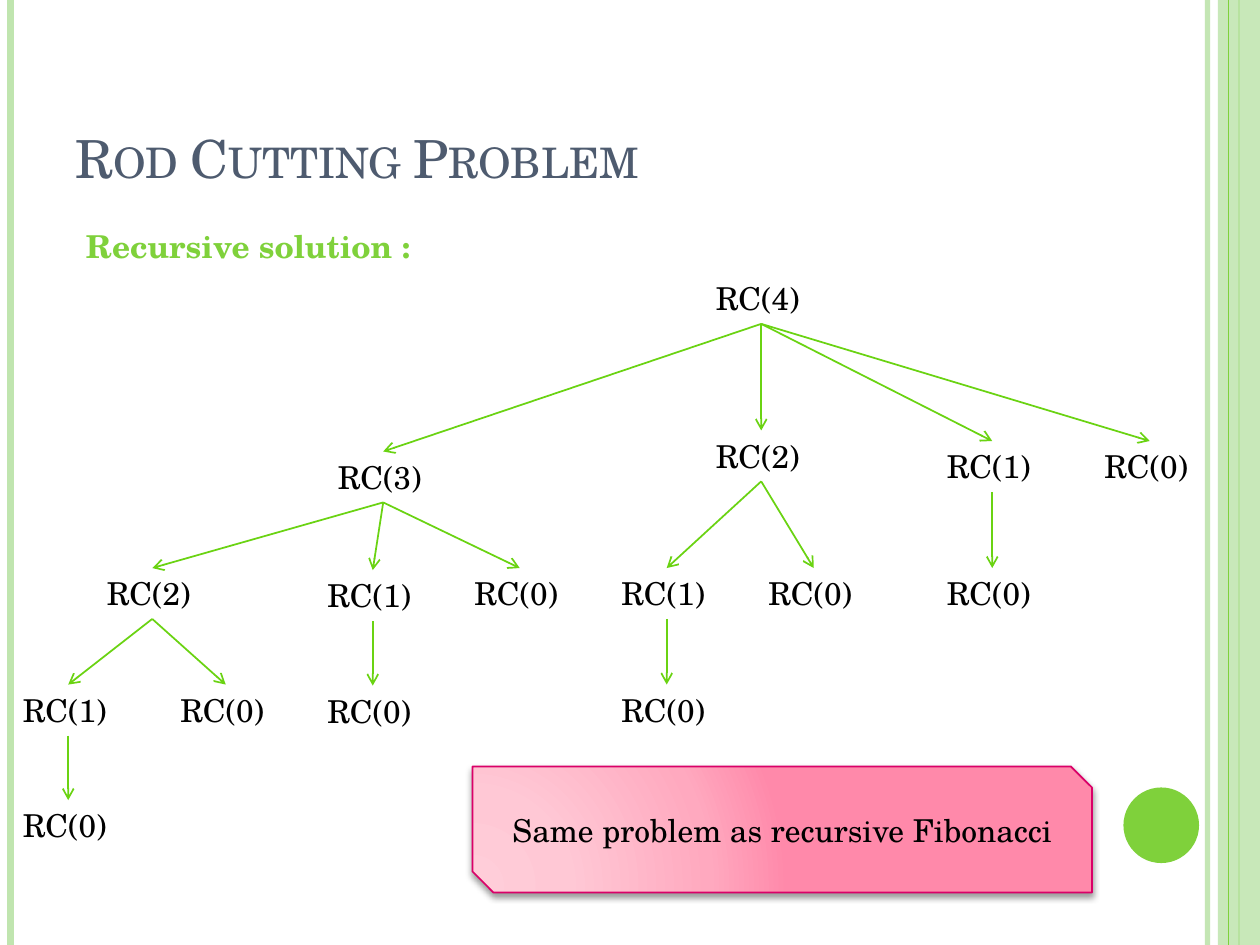
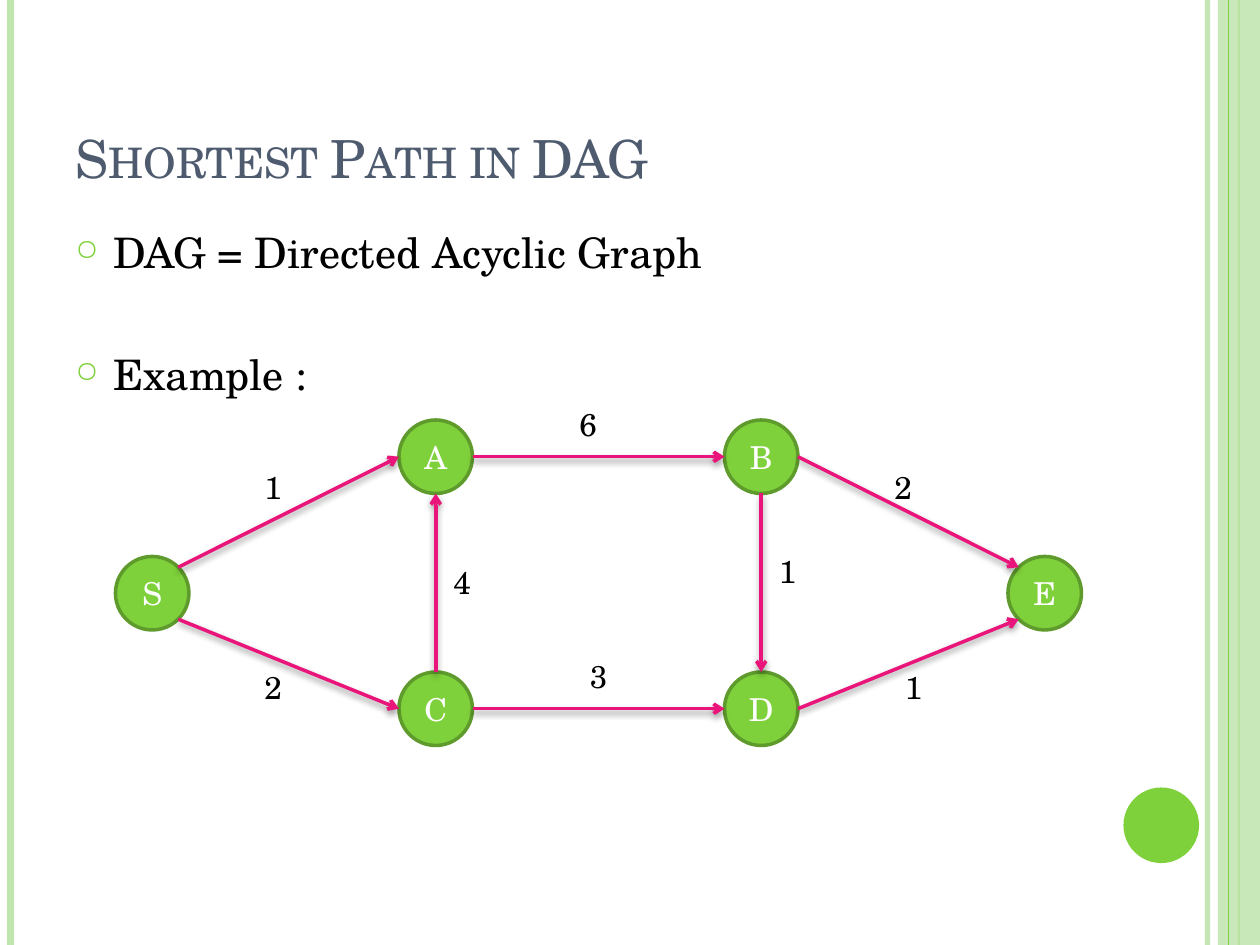
from math import cos, radians, sin

from lxml.etree import SubElement
from pptx import Presentation
from pptx.dml.color import RGBColor
from pptx.enum.shapes import MSO_CONNECTOR, MSO_SHAPE
from pptx.enum.text import MSO_ANCHOR, MSO_AUTO_SIZE, PP_ALIGN
from pptx.oxml.ns import qn
from pptx.util import Inches, Pt

FONT = "TeX Gyre Schola"
COLORS = {
    "white": "FFFFFF", "black": "000000", "title": "4E5B6F",
    "green": "7FD13B", "pale": "C0E5AF", "outline": "5E9B2C",
    "branch": "6AD312", "edge": "EA157A", "callout": "DA0068",
}
CALLOUT_STOPS = [(0, "FFCDD9"), (30, "FFC8D5"), (75, "FFA9BF"), (100, "FF89AA")]
CELLS_PER_INCH = 12
COLUMNS, ROWS = 120, 90
NODE_SIZE = 7
LABEL_HEIGHT = 4.85

CALL_PLACES = [
    (67, 26), (31, 43), (9, 54.1), (1, 65.2), (1, 76.2), (16, 65.2),
    (30, 54.3), (30, 65.3), (44, 54.1), (67, 41), (58, 54.1), (58, 65.2),
    (72, 54.1), (89, 42), (89, 54.1), (104, 42),
]
NODES = {"S": (11, 53), "A": (38, 40), "C": (38, 64),
         "B": (69, 40), "D": (69, 64), "E": (96, 53)}
SITES = {"right": 0, "lower right": 45, "bottom": 90, "lower left": 135,
         "left": 180, "upper left": 225, "top": 270, "upper right": 315}
EDGES = [
    ("S", "upper right", "A", "left", "1", (24, 44)),
    ("S", "lower right", "C", "left", "2", (24, 63)),
    ("A", "right", "B", "left", "6", (54, 38)),
    ("C", "right", "D", "left", "3", (55, 62)),
    ("C", "top", "A", "bottom", "4", (42, 53)),
    ("B", "bottom", "D", "top", "1", (73, 52)),
    ("B", "right", "E", "upper left", "2", (84, 44)),
    ("D", "right", "E", "lower left", "1", (85, 63)),
]


def cells(*counts):
    return [Inches(count / CELLS_PER_INCH) for count in counts]


def rgb(name):
    return RGBColor.from_string(COLORS[name])


def child(parent, tag, **attributes):
    return SubElement(parent, qn(tag), {key: str(value) for key, value in attributes.items()})


def set_alpha(color_format_parent, percent):
    color = next(color_format_parent.iter(qn("a:srgbClr")))
    child(color, "a:alpha", val=percent * 1000)


def add_shadow(effects):
    shadow = child(effects, "a:outerShdw", blurRad=Pt(4), dist=Pt(2),
                   dir=90 * 60000, rotWithShape=0)
    color = child(shadow, "a:srgbClr", val=COLORS["black"])
    child(color, "a:alpha", val=40000)


def add_run(paragraph, text, size=18, color="black", bold=False):
    run = paragraph.add_run()
    run.text = text
    run.font.name = FONT
    run.font.size = Pt(size)
    run.font.bold = bold
    run.font.color.rgb = rgb(color)
    return run


def add_label(slide, text, column, row, width, color="black", bold=False):
    box = slide.shapes.add_textbox(*cells(column, row, width, LABEL_HEIGHT))
    box.text_frame.word_wrap = False
    box.text_frame.auto_size = MSO_AUTO_SIZE.SHAPE_TO_FIT_TEXT
    add_run(box.text_frame.paragraphs[0], text, color=color, bold=bold)
    return box


def add_line(slide, start, end, color, width, arrow=False, shadow=False):
    line = slide.shapes.add_connector(MSO_CONNECTOR.STRAIGHT, *cells(*start, *end))
    line.line.color.rgb = rgb(color)
    line.line.width = Pt(width)
    properties = line._element.spPr
    if arrow:
        child(properties.find(qn("a:ln")), "a:tailEnd", type="arrow")
    effects = child(properties, "a:effectLst")
    if shadow:
        add_shadow(effects)
    return line


def add_preset(slide, preset, place, fill=None, outline=None, width=1):
    shape = slide.shapes.add_shape(preset, *cells(*place))
    shape.shadow.inherit = False
    if fill:
        shape.fill.solid()
        shape.fill.fore_color.rgb = rgb(fill)
    if outline:
        shape.line.color.rgb = rgb(outline)
        shape.line.width = Pt(width)
    else:
        shape.line.fill.background()
    return shape


def center_text(shape, text, color):
    frame = shape.text_frame
    frame.vertical_anchor = MSO_ANCHOR.MIDDLE
    frame.paragraphs[0].alignment = PP_ALIGN.CENTER
    add_run(frame.paragraphs[0], text, color=color)


def add_rule(slide, column, color, width):
    return add_line(slide, (column, 0), (column, ROWS), color, width)


def add_titled_slide(presentation, title):
    slide = presentation.slides.add_slide(presentation.slide_layouts[6])
    slide.background.fill.solid()
    slide.background.fill.fore_color.rgb = rgb("white")
    set_alpha(add_rule(slide, 115, "pale", 3)._element.spPr, 93)
    add_rule(slide, 1, "pale", 4.5)
    add_rule(slide, 118, "green", 1.5)
    band = add_preset(slide, MSO_SHAPE.RECTANGLE, (116, 0, COLUMNS - 116, ROWS), "pale")
    set_alpha(band._element.spPr, 87)
    add_rule(slide, 117, "green", 0.75)
    add_preset(slide, MSO_SHAPE.OVAL, (107, 75, 7.2, 7.2), "green")
    box = slide.shapes.add_textbox(*cells(6, 3.6, 98, 15))
    box.text_frame.word_wrap = True
    box.text_frame.vertical_anchor = MSO_ANCHOR.BOTTOM
    run = add_run(box.text_frame.paragraphs[0], title, 30, "title")
    run.font._element.set("cap", "small")
    return slide


def add_call(slide, size, places, caller=None):
    column, row = next(places)
    box = add_label(slide, f"RC({size})", column, row, 11)
    if caller is not None:
        branch = add_line(slide, (0, 0), (column, row), "branch", 1, arrow=True)
        branch.begin_connect(caller, 2)
        branch.end_connect(box, 0)
    for smaller in reversed(range(size)):
        add_call(slide, smaller, places, box)


def add_callout(slide, text):
    callout = add_preset(slide, MSO_SHAPE.SNIP_2_DIAG_RECTANGLE, (45, 73, 59, 12),
                         outline="callout")
    properties = callout._element.spPr
    gradient = child(properties, "a:gradFill", rotWithShape=1)
    properties.find(qn("a:ln")).addprevious(gradient)
    stops = child(gradient, "a:gsLst")
    for position, color in CALLOUT_STOPS:
        child(child(stops, "a:gs", pos=position * 1000), "a:srgbClr", val=color)
    circle = child(gradient, "a:path", path="circle")
    child(circle, "a:fillToRect", l=5000, t=100000, r=120000, b=10000)
    add_shadow(properties.find(qn("a:effectLst")))
    center_text(callout, text, "black")


def add_bullet(paragraph, text, space_before):
    paragraph.space_before = Pt(space_before)
    properties = paragraph._p.get_or_add_pPr()
    properties.set("marL", str(Inches(0.3)))
    properties.set("indent", str(-Inches(0.3)))
    child(child(properties, "a:buClr"), "a:srgbClr", val=COLORS["green"])
    child(properties, "a:buSzPct", val=70000)
    child(properties, "a:buChar", char="○")
    add_run(paragraph, text, 24)


def site_point(node, site):
    column, row = NODES[node]
    radius = NODE_SIZE / 2
    angle = radians(SITES[site])
    return column + radius * (1 + cos(angle)), row + radius * (1 + sin(angle))


def build_rod_cutting(presentation):
    slide = add_titled_slide(presentation, "Rod Cutting Problem")
    add_label(slide, "Recursive solution :", 7, 21, 34, "green", bold=True)
    add_call(slide, 4, iter(CALL_PLACES))
    add_callout(slide, "Same problem as recursive Fibonacci")


def build_shortest_path(presentation):
    slide = add_titled_slide(presentation, "Shortest Path in DAG")
    body = slide.shapes.add_textbox(*cells(6, 21, 98, 20)).text_frame
    body.word_wrap = True
    add_bullet(body.paragraphs[0], "DAG = Directed Acyclic Graph", 6)
    add_bullet(body.add_paragraph(), "Example :", 41)
    for name, place in NODES.items():
        node = add_preset(slide, MSO_SHAPE.OVAL, (*place, NODE_SIZE, NODE_SIZE),
                          "green", "outline", 2)
        center_text(node, name, "white")
    for source, leaving, target, entering, weight, place in EDGES:
        add_line(slide, site_point(source, leaving), site_point(target, entering),
                 "edge", 2, arrow=True, shadow=True)
        add_label(slide, weight, *place, 4.3)


def main():
    presentation = Presentation()
    presentation.slide_width, presentation.slide_height = cells(COLUMNS, ROWS)
    build_rod_cutting(presentation)
    build_shortest_path(presentation)
    presentation.save("out.pptx")


if __name__ == "__main__":
    main()
